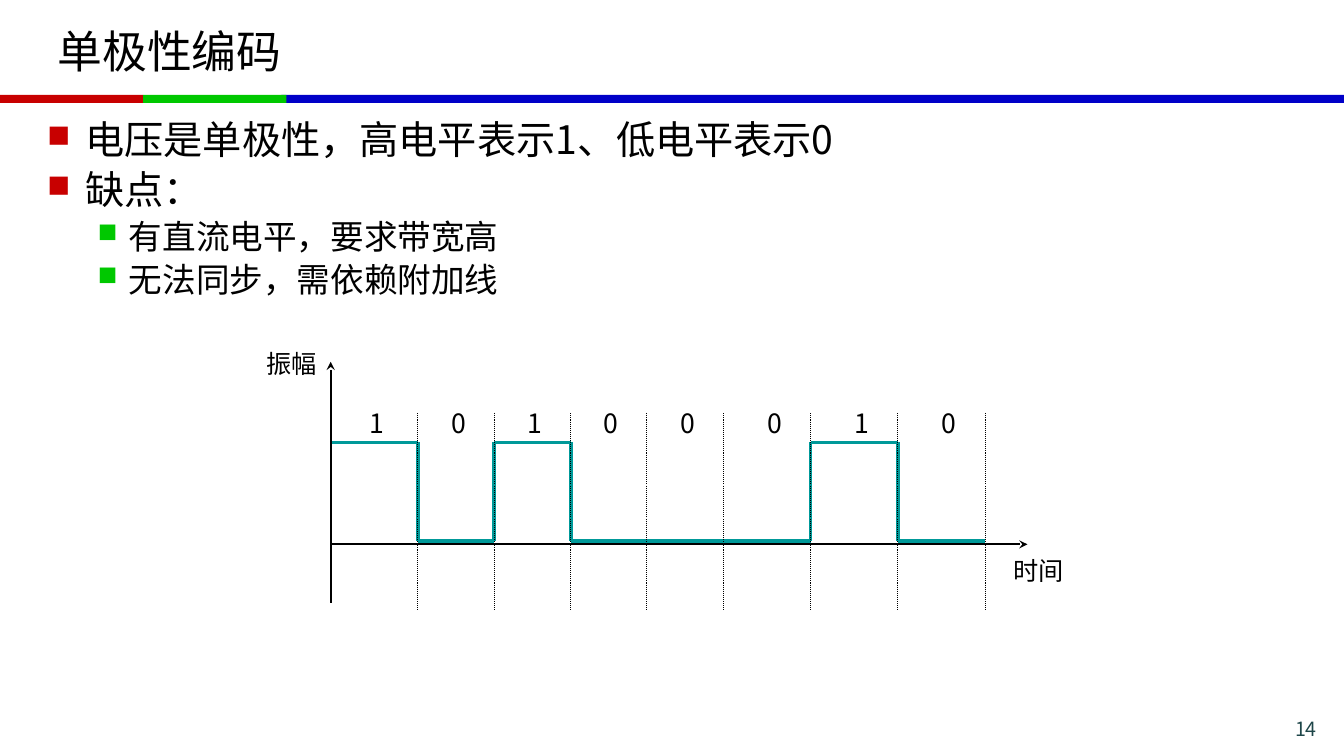
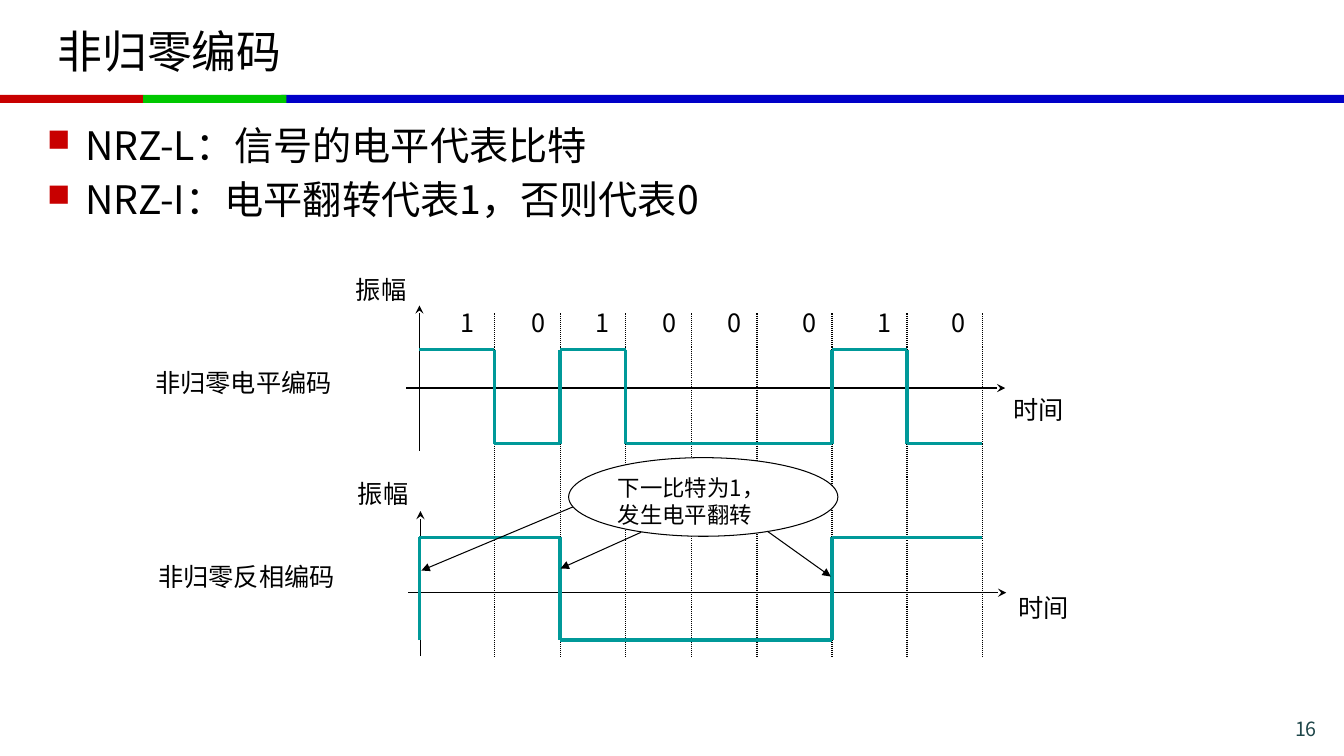
from itertools import accumulate, pairwise

from lxml import etree
from pptx import Presentation
from pptx import util as u
from pptx.dml.color import RGBColor
from pptx.enum import dml, shapes, text
from pptx.oxml.ns import qn

PX = 9144  # 100 px to the inch
WIDTH, HEIGHT = 1333, 750
FONT = "Noto Sans CJK SC"
BLACK, WHITE, TEAL, NUMBER = "000000", "FFFFFF", "009999", "1E4649"
RED, GREEN, BLUE = "C80000", "00C800", "0000C8"
BANDS = [(279, 1054, BLUE), (0, 142, RED), (142, 142, GREEN)]  # left, width, colour

# level: (size, left margin, hanging indent, bullet colour)
LEVELS = [(28, 38, 38, RED), (24, 81, 31, GREEN)]

BITS = "10100010"
BIT_UNITS = [8, 7, 7, 7, 7, 8, 8, 8]  # relative widths of the bit periods
AMPLITUDE, TIME = "振幅", "时间"

UNIPOLAR = {
    "title": "单极性编码",
    "number": "14",
    "points": [
        (0, "电压是单极性，高电平表示1、低电平表示0"),
        (0, "缺点："),
        (1, "有直流电平，要求带宽高"),
        (1, "无法同步，需依赖附加线"),
    ],
    "body": (251, 0.9),  # height, line spacing
    "span": (328, 977),
    "bit_lefts": [367, 448, 523, 599, 675, 761, 848, 934],
    "bit_top": 404,
    "bit_size": 19,
    "grid": (410, 605),
}
NRZ = {
    "title": "非归零编码",
    "number": "16",
    "points": [
        (0, "NRZ-L：信号的电平代表比特"),
        (0, "NRZ-I：电平翻转代表1，否则代表0"),
    ],
    "body": (147, 1.0),
    "span": (416, 974),
    "bit_lefts": [457, 527, 591, 657, 722, 796, 870, 944],
    "bit_top": 305,
    "bit_size": 18,
    "grid": (311, 651),
}

# amplitude axis: x, bottom, top; time axis: left, right, y; label corners
UNIPOLAR_AXES = ((328, 598, 359), (328, 1019, 540), (264, 346), (1005, 551))
NRZ_L_AXES = ((416, 447, 303), (403, 997, 385), (353, 272), (1005, 391))
NRZ_I_AXES = ((417, 651, 507), (405, 998, 588), (355, 475), (1010, 588))

ROW_NAMES = [("非归零电平编码", 83, 364, 246), ("非归零反相编码", 37, 557, 295)]
CALLOUT = ["下一比特为1，", "发生电平翻转"]
CALLOUT_BOX = (564, 454, 267, 78)
CALLOUT_ARROWS = [(568, 503, 418, 566), (636, 528, 556, 564), (761, 527, 824, 572)]


def px(*lengths):
    return [u.Emu(round(length * PX)) for length in lengths]


def rgb(color):
    return RGBColor.from_string(color)


def add_run(paragraph, words, size, color=BLACK):
    run = paragraph.add_run()
    run.text = words
    run.font.size = u.Pt(size)
    run.font.color.rgb = rgb(color)
    run.font.name = FONT
    etree.SubElement(run._r.get_or_add_rPr(), qn("a:ea"), typeface=FONT)


def add_shape(slide, kind, box, fill, line=None):
    shape = slide.shapes.add_shape(kind, *px(*box))
    shape.shadow.inherit = False
    shape.fill.solid()
    shape.fill.fore_color.rgb = rgb(fill)
    if line:
        shape.line.color.rgb = rgb(line)
        shape.line.width = u.Pt(0.75)
    else:
        shape.line.fill.background()
    return shape


def add_line(slide, ends, width, color=BLACK, head=None, dotted=False):
    line = slide.shapes.add_connector(shapes.MSO_CONNECTOR.STRAIGHT, *px(*ends))
    line.line.width = u.Pt(width)
    line.line.color.rgb = rgb(color)
    if dotted:
        line.line.dash_style = dml.MSO_LINE.ROUND_DOT
    if head:
        etree.SubElement(line.line._get_or_add_ln(), qn("a:tailEnd"), type=head)
    etree.SubElement(line._element.spPr, qn("a:effectLst"))


def add_label(slide, words, left, top, width=50, size=18, align=None):
    """Tight text box; it wraps only when an alignment needs its width."""
    box = slide.shapes.add_textbox(*px(left, top, width, 30))
    frame = box.text_frame
    frame.margin_left = frame.margin_right = frame.margin_top = frame.margin_bottom = 0
    frame.word_wrap = align is not None
    frame.auto_size = text.MSO_AUTO_SIZE.SHAPE_TO_FIT_TEXT
    frame.paragraphs[0].alignment = align
    add_run(frame.paragraphs[0], words, size)


def add_points(slide, points, height, spacing):
    frame = slide.shapes.add_textbox(*px(37, 115, 1260, height)).text_frame
    frame.word_wrap = True
    for i, (level, words) in enumerate(points):
        size, margin, hanging, color = LEVELS[level]
        paragraph = frame.add_paragraph() if i else frame.paragraphs[0]
        props = paragraph._p.get_or_add_pPr()
        props.set("marL", str(margin * PX))
        props.set("indent", str(-hanging * PX))
        bullet_color = etree.SubElement(props, qn("a:buClr"))
        etree.SubElement(bullet_color, qn("a:srgbClr"), val=color)
        etree.SubElement(props, qn("a:buSzPct"), val="80000")
        etree.SubElement(props, qn("a:buChar"), char="■")
        paragraph.level = level
        paragraph.line_spacing = spacing
        if i:
            paragraph.space_before = u.Pt(size * 0.2)
        add_run(paragraph, words, size)


def start_slide(deck, content):
    """Slide with bands, title, number and bullet points."""
    slide = deck.slides.add_slide(deck.slide_layouts[5])
    for left, width, color in BANDS:
        add_shape(slide, shapes.MSO_SHAPE.RECTANGLE, (left, 94, width, 8), color)

    title = slide.shapes.title
    title.left, title.top, title.width, title.height = px(47, 8, 1239, 84)
    title.text_frame.vertical_anchor = text.MSO_ANCHOR.MIDDLE
    title.text_frame.auto_size = text.MSO_AUTO_SIZE.NONE
    heading = title.text_frame.paragraphs[0]
    heading.alignment = text.PP_ALIGN.LEFT
    add_run(heading, content["title"], 32)

    number = slide.shapes.add_textbox(*px(1186, 706, 130, 28)).text_frame
    number.word_wrap = True
    number.paragraphs[0].alignment = text.PP_ALIGN.RIGHT
    add_run(number.paragraphs[0], content["number"], 14, NUMBER)

    add_points(slide, content["points"], *content["body"])
    return slide


def bit_edges(content):
    left, right = content["span"]
    unit = (right - left) / sum(BIT_UNITS)
    return [left + unit * units for units in accumulate(BIT_UNITS, initial=0)]


def add_bits(slide, content):
    """Dotted bit boundaries and the bit values between them."""
    top, bottom = content["grid"]
    for x in bit_edges(content)[1:]:
        add_line(slide, (x, top, x, bottom), 0.75, dotted=True)
    for bit, left in zip(BITS, content["bit_lefts"]):
        width = 10 if bit == "1" else 14
        add_label(slide, bit, left, content["bit_top"], width, content["bit_size"])


def add_axes(slide, axes, width):
    (x, bottom, top), (left, right, y), amplitude_at, time_at = axes
    add_line(slide, (x, bottom, x, top), width, head="stealth")
    add_line(slide, (left, y, right, y), width, head="stealth")
    add_label(slide, AMPLITUDE, *amplitude_at)
    add_label(slide, TIME, *time_at)


def add_signal(slide, edges, levels, high, low, width, start=None):
    """Square wave; start is the level before the first bit."""
    heights = [high if level else low for level in levels]
    corners = [] if start is None else [(edges[0], high if start else low)]
    for i, y in enumerate(heights):
        if i == 0 or y != heights[i - 1]:
            if i:
                corners.append((edges[i], heights[i - 1]))
            corners.append((edges[i], y))
    corners.append((edges[-1], heights[-1]))
    for begin, end in pairwise(corners):
        add_line(slide, (*begin, *end), width, TEAL)


def build_unipolar(deck):
    slide = start_slide(deck, UNIPOLAR)
    levels = [bit == "1" for bit in BITS]
    add_signal(slide, bit_edges(UNIPOLAR), levels, 439, 537, 2.75)
    add_axes(slide, UNIPOLAR_AXES, 1.5)
    add_bits(slide, UNIPOLAR)


def build_nrz(deck):
    slide = start_slide(deck, NRZ)
    add_bits(slide, NRZ)
    for axes in (NRZ_L_AXES, NRZ_I_AXES):
        add_axes(slide, axes, 1)
    for words, left, top, width in ROW_NAMES:
        add_label(slide, words, left, top, width, align=text.PP_ALIGN.RIGHT)

    edges = bit_edges(NRZ)
    by_level = [bit == "1" for bit in BITS]
    by_flip = [ones % 2 == 1 for ones in accumulate(map(int, BITS))]
    add_signal(slide, edges, by_level, 347, 440, 2.5)
    add_signal(slide, edges, by_flip, 533, 635, 2.5, start=False)

    callout = add_shape(slide, shapes.MSO_SHAPE.OVAL, CALLOUT_BOX, WHITE, BLACK)
    frame = callout.text_frame
    frame.word_wrap = True
    frame.vertical_anchor = text.MSO_ANCHOR.TOP
    for i, words in enumerate(CALLOUT):
        paragraph = frame.add_paragraph() if i else frame.paragraphs[0]
        paragraph.alignment = text.PP_ALIGN.LEFT
        add_run(paragraph, words, 16)
    for ends in CALLOUT_ARROWS:
        add_line(slide, ends, 0.75, head="triangle")


def main():
    deck = Presentation()
    deck.slide_width, deck.slide_height = px(WIDTH, HEIGHT)
    build_unipolar(deck)
    build_nrz(deck)
    deck.save("out.pptx")


if __name__ == "__main__":
    main()
